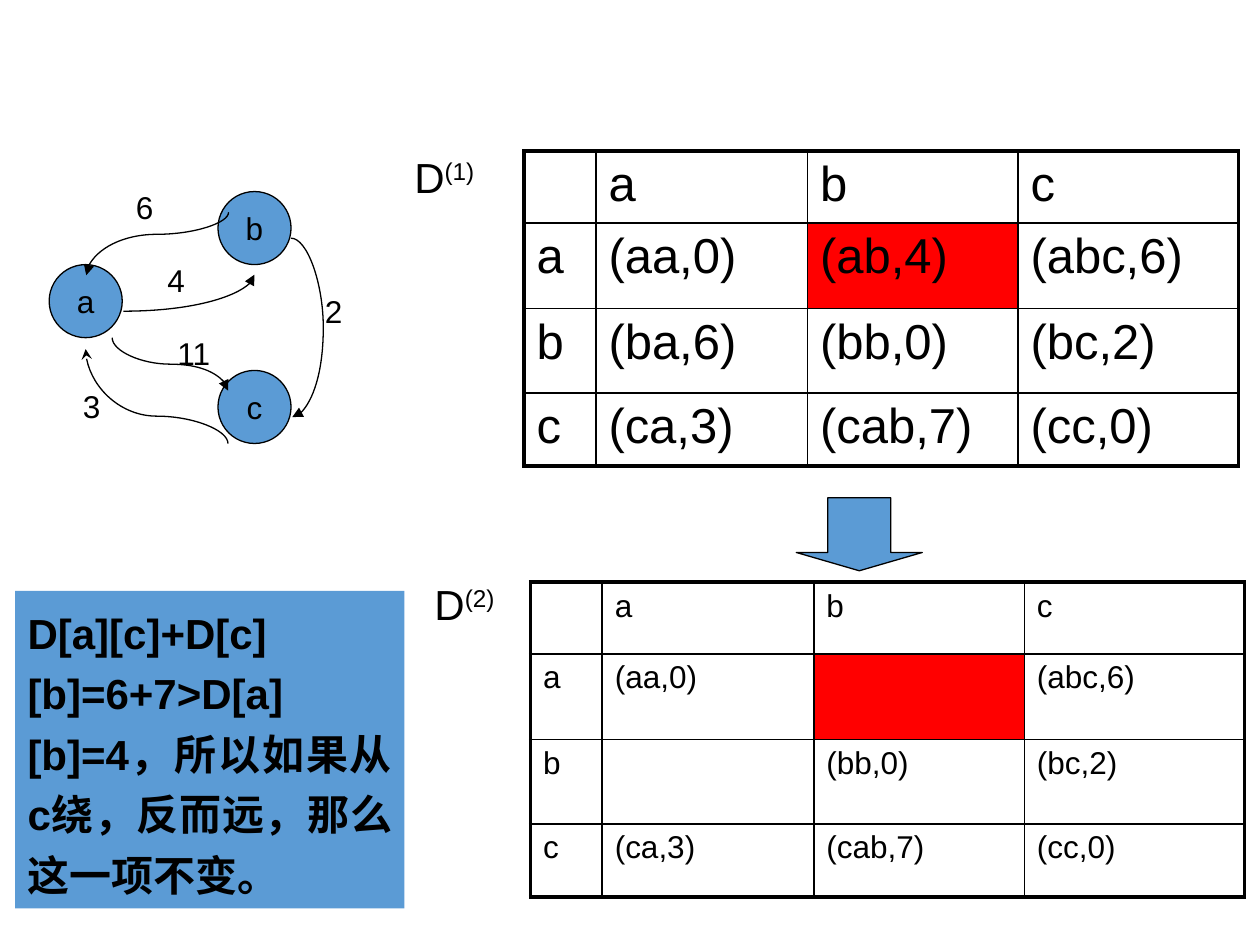
from dataclasses import dataclass
from typing import NamedTuple, Optional

from lxml.etree import SubElement
from pptx import Presentation
from pptx.dml.color import RGBColor
from pptx.enum.shapes import MSO_CONNECTOR, MSO_SHAPE
from pptx.enum.text import MSO_ANCHOR, PP_ALIGN
from pptx.oxml.ns import qn
from pptx.util import Inches, Pt

COLUMNS, ROWS = 100, 75
SLIDE_W, SLIDE_H = Inches(10), Inches(7.5)


@dataclass(frozen=True)
class Theme:
    font: str = "Arial"
    ink: RGBColor = RGBColor(0, 0, 0)
    blue: RGBColor = RGBColor(0x5B, 0x9B, 0xD5)
    red: RGBColor = RGBColor(0xFF, 0, 0)
    small: int = 18
    medium: int = 24
    large: int = 28
    thin: float = 0.75
    inner: float = 1
    outer: float = 2.25


THEME = Theme()


class Box(NamedTuple):
    x: float
    y: float
    w: float
    h: float


class Label(NamedTuple):
    text: str
    x: float
    y: float


class Curve(NamedTuple):
    box: Box
    flip: str = ""
    rotation: int = 0
    preset: str = "curvedConnector3"
    bend: Optional[float] = None
    head: str = ""
    tail: str = "triangle"


class Matrix(NamedTuple):
    name: str
    label: Label
    x: float
    y: float
    size: int
    rows: tuple


NODE_SIZE = 5.8
NODES = (Label("a", 3.9, 21), Label("b", 17.3, 15.2), Label("c", 17.3, 29.4))
WEIGHTS = (
    Label("11", 13.1, 26),
    Label("6", 9.8, 14.4),
    Label("4", 12.3, 20.2),
    Label("2", 24.8, 22.7),
    Label("3", 5.6, 30.2),
)
CURVES = (
    Curve(Box(9.8, 21.8, 10.4, 2.9), "v", preset="curvedConnector2"),
    Curve(Box(10, 13.7, 5, 11.3), "hv", 270, bend=0.35),
    Curve(Box(11.4, 24.3, 4.2, 9.2), "v", 90, bend=0.5),
    Curve(Box(8.7, 25.8, 7.5, 11.3), "v", 90, bend=0.71, head="stealth", tail=""),
    Curve(Box(23.1, 18.9, 0.1, 14.2), bend=26),
)
MATRIX_COLS = (5.7, 16.8, 16.7, 17.5)
MATRIX_ROWS = (5.7, 6.8, 6.7, 5.8)
CHECKED_CELL = (1, 2)
MATRICES = (
    Matrix("D", Label("(2)", 33.5, 45.4), 42.1, 46.2, THEME.small, (
        ("", "a", "b", "c"),
        ("a", "(aa,0)", "", "(abc,6)"),
        ("b", "", "(bb,0)", "(bc,2)"),
        ("c", "(ca,3)", "(cab,7)", "(cc,0)"),
    )),
    Matrix("D", Label("(1)", 31.9, 11.5), 41.6, 12, THEME.large, (
        ("", "a", "b", "c"),
        ("a", "(aa,0)", "(ab,4)", "(abc,6)"),
        ("b", "(ba,6)", "(bb,0)", "(bc,2)"),
        ("c", "(ca,3)", "(cab,7)", "(cc,0)"),
    )),
)
NOTE = "D[a][c]+D[c][b]=6+7>D[a][b]=4，所以如果从c绕，反而远，那么这一项不变。"


def across(columns: float) -> int:
    return round(SLIDE_W * columns / COLUMNS)


def down(rows: float) -> int:
    return round(SLIDE_H * rows / ROWS)


def place(box: Box) -> tuple:
    return across(box.x), down(box.y), across(box.w), down(box.h)


def style(p, size: int, bold: bool = False) -> None:
    for r in p.runs:
        r.font.name = THEME.font
        r.font.size = Pt(size)
        r.font.bold = bold
        r.font.color.rgb = THEME.ink


def add_block(slide, kind, box: Box, outlined: bool = True):
    sp = slide.shapes.add_shape(kind, *place(box))
    sp.shadow.inherit = False
    sp.fill.solid()
    sp.fill.fore_color.rgb = THEME.blue
    if outlined:
        sp.line.color.rgb = THEME.ink
        sp.line.width = Pt(THEME.thin)
    else:
        sp.line.fill.background()
    return sp


def add_node(slide, node: Label) -> None:
    sp = add_block(slide, MSO_SHAPE.OVAL, Box(node.x, node.y, NODE_SIZE, NODE_SIZE))
    tf = sp.text_frame
    tf.text = node.text
    tf.word_wrap = False
    tf.vertical_anchor = MSO_ANCHOR.MIDDLE
    tf.paragraphs[0].alignment = PP_ALIGN.CENTER
    style(tf.paragraphs[0], THEME.small)


def add_text(slide, text: str, box: Box, size: int):
    tf = slide.shapes.add_textbox(*place(box)).text_frame
    tf.word_wrap = True
    tf.text = text
    style(tf.paragraphs[0], size)
    return tf.paragraphs[0]


def add_curve(slide, curve: Curve) -> None:
    x, y, w, h = place(curve.box)
    x1, x2 = (x + w, x) if "h" in curve.flip else (x, x + w)
    y1, y2 = (y + h, y) if "v" in curve.flip else (y, y + h)
    cxn = slide.shapes.add_connector(MSO_CONNECTOR.CURVE, x1, y1, x2, y2)
    cxn.line.color.rgb = THEME.ink
    cxn.line.width = Pt(THEME.thin)
    props = cxn._element.spPr
    SubElement(props, qn("a:effectLst"))
    props.find(qn("a:xfrm")).set("rot", str(curve.rotation * 60000))
    geom = props.find(qn("a:prstGeom"))
    geom.set("prst", curve.preset)
    if curve.bend is not None:
        SubElement(geom.find(qn("a:avLst")), qn("a:gd"),
                   name="adj1", fmla=f"val {round(curve.bend * 100000)}")
    for tag, kind in (("a:headEnd", curve.head), ("a:tailEnd", curve.tail)):
        if kind:
            SubElement(props.find(qn("a:ln")), qn(tag), type=kind)


def set_borders(cell, row: int, col: int) -> None:
    props = cell._tc.get_or_add_tcPr()
    edges = {"L": col == 0, "R": col == len(MATRIX_COLS) - 1,
             "T": row == 0, "B": row == len(MATRIX_ROWS) - 1}
    for side, is_outer in edges.items():
        width = Pt(THEME.outer if is_outer else THEME.inner)
        ln = SubElement(props, qn(f"a:ln{side}"), w=str(width))
        SubElement(SubElement(ln, qn("a:solidFill")), qn("a:srgbClr"), val=str(THEME.ink))


def add_matrix(slide, matrix: Matrix) -> None:
    box = Box(matrix.x, matrix.y, sum(MATRIX_COLS), sum(MATRIX_ROWS))
    table = slide.shapes.add_table(len(MATRIX_ROWS), len(MATRIX_COLS), *place(box)).table
    table.first_row = table.horz_banding = False
    for column, width in zip(table.columns, MATRIX_COLS):
        column.width = across(width)
    for i, (row, height) in enumerate(zip(table.rows, MATRIX_ROWS)):
        row.height = down(height)
        for j, cell in enumerate(row.cells):
            cell.text = matrix.rows[i][j]
            style(cell.text_frame.paragraphs[0], matrix.size)
            set_borders(cell, i, j)
            if (i, j) == CHECKED_CELL:
                cell.fill.solid()
                cell.fill.fore_color.rgb = THEME.red
            else:
                cell.fill.background()
    p = add_text(slide, matrix.name, Box(matrix.label.x, matrix.label.y, 10, 5), THEME.medium)
    r = p.add_run()
    r.text = matrix.label.text
    style(p, THEME.medium)
    r.font._element.set("baseline", "30000")


def add_note(slide) -> None:
    tf = add_block(slide, MSO_SHAPE.RECTANGLE, Box(1.2, 46.9, 30.9, 25.2), False).text_frame
    tf.text = NOTE
    tf.word_wrap = True
    tf.vertical_anchor = MSO_ANCHOR.TOP
    p = tf.paragraphs[0]
    p.alignment = PP_ALIGN.JUSTIFY
    p.line_spacing = 1.2
    style(p, THEME.medium, True)


def main() -> None:
    prs = Presentation()
    prs.slide_width, prs.slide_height = SLIDE_W, SLIDE_H
    s = prs.slides.add_slide(prs.slide_layouts[6])
    for node in NODES:
        add_node(s, node)
    for curve in CURVES:
        add_curve(s, curve)
    for weight in WEIGHTS:
        add_text(s, weight.text, Box(weight.x, weight.y, 5, 4), THEME.small)
    for matrix in MATRICES:
        add_matrix(s, matrix)
    arrow = add_block(s, MSO_SHAPE.DOWN_ARROW, Box(63.2, 39.5, 10, 5.8))
    arrow.adjustments[0], arrow.adjustments[1] = 0.5, 0.25
    add_note(s)
    prs.save("out.pptx")


if __name__ == "__main__":
    main()
